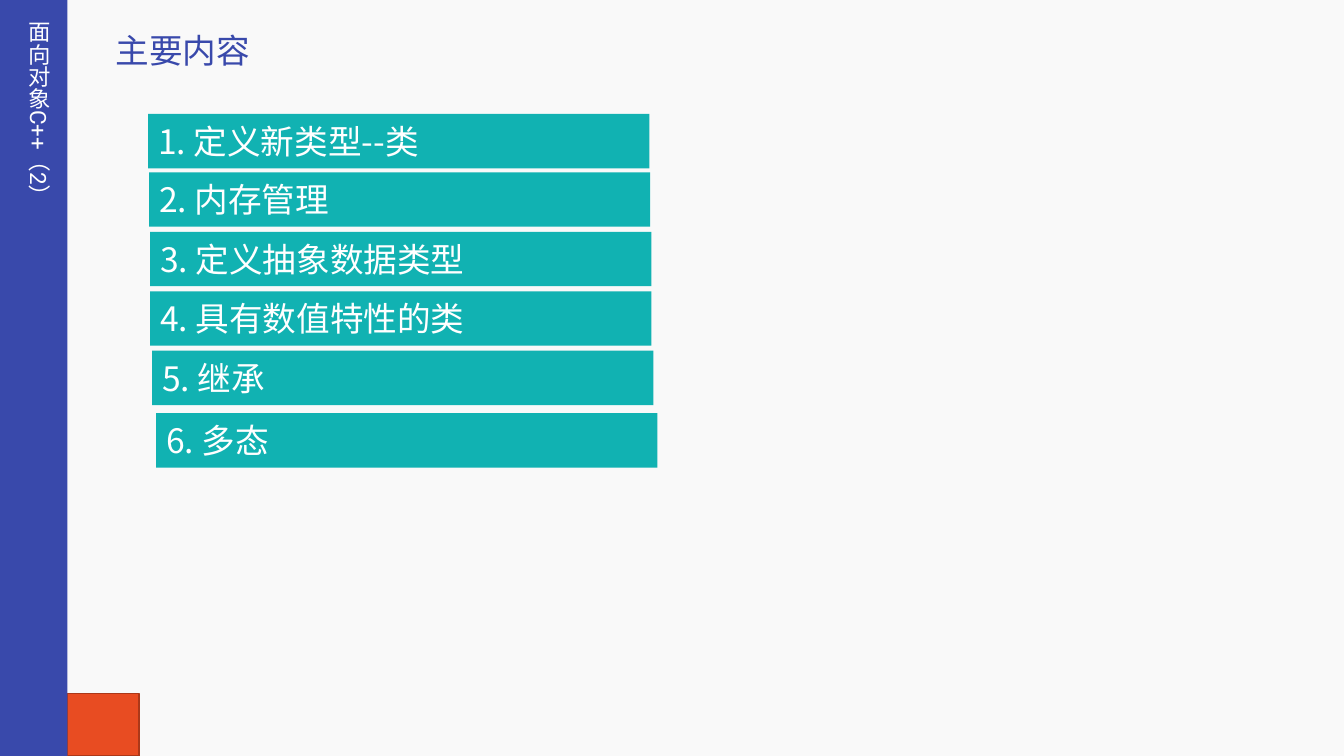
import dataclasses

import lxml.etree
import pptx
import pptx.dml.color
import pptx.enum.shapes
import pptx.enum.text
import pptx.oxml.ns
import pptx.util

Inches = pptx.util.Inches


@dataclasses.dataclass(frozen=True)
class Theme:
    """Colours, fonts and type sizes of the slide."""
    back: str = "F9F9F9"
    blue: str = "3949AB"
    teal: str = "11B2B2"
    red: str = "E84C22"
    rust: str = "AC3819"
    white: str = "FFFFFF"
    latin: str = "Roboto"
    asian: str = "Noto Sans CJK SC"
    large: int = 24
    small: int = 16


def color(code):
    """Turn a hex code into a colour."""
    return pptx.dml.color.RGBColor.from_string(code)


def write(frame, text, *, size, ink, font, asian, wrap=True, anchor="TOP", flow=None):
    """Put formatted text into a text frame."""
    frame.word_wrap = wrap
    frame.vertical_anchor = getattr(pptx.enum.text.MSO_ANCHOR, anchor)
    if not wrap:
        frame.auto_size = pptx.enum.text.MSO_AUTO_SIZE.SHAPE_TO_FIT_TEXT
    if flow:
        frame._txBody.bodyPr.set("vert", flow)
    line = frame.paragraphs[0]
    line.alignment = pptx.enum.text.PP_ALIGN.LEFT
    run = line.add_run()
    run.text = text
    run.font.size = pptx.util.Pt(size)
    run.font.name = font
    run.font.color.rgb = color(ink)
    east = lxml.etree.SubElement(run._r.get_or_add_rPr(), pptx.oxml.ns.qn("a:ea"))
    east.set("typeface", asian)


class Page:
    """Hold the theme and the current slide."""

    def __init__(self, slide, theme):
        """Keep the slide and paint its background."""
        self.slide, self.theme = slide, theme
        fill = slide.background.fill
        fill.solid()
        fill.fore_color.rgb = color(theme.back)

    def block(self, spot, fill, edge=None):
        """Draw a flat rectangle."""
        shape = self.slide.shapes.add_shape(
            pptx.enum.shapes.MSO_SHAPE.RECTANGLE, *map(Inches, spot))
        shape.shadow.inherit = False
        shape.fill.solid()
        shape.fill.fore_color.rgb = color(fill)
        if edge:
            shape.line.color.rgb = color(edge)
            shape.line.width = pptx.util.Pt(1)
        else:
            shape.line.fill.background()
        return shape

    def label(self, spot, text, **style):
        """Add a text box that does not wrap."""
        box = self.slide.shapes.add_textbox(*map(Inches, spot))
        write(box.text_frame, text, font=self.theme.latin,
              asian=self.theme.asian, wrap=False, **style)

    def topic(self, left, top, text):
        """Add one bar of the contents list."""
        theme = self.theme
        bar = self.block((left, top, 4.97, 0.54), theme.teal)
        write(bar.text_frame, text, size=theme.large, ink=theme.white,
              font=theme.asian, asian=theme.asian, anchor="MIDDLE")


def main():
    """Build and save the contents slide."""
    deck = pptx.Presentation()
    deck.slide_width, deck.slide_height = Inches(13.33), Inches(7.5)
    theme = Theme()
    page = Page(deck.slides.add_slide(deck.slide_layouts[6]), theme)
    page.block((0.67, 6.88, 0.71, 0.62), theme.red, theme.rust)
    page.label((1.05, 0.25, 1.64, 0.5), "主要内容", size=theme.large, ink=theme.blue)
    page.block((0, 0, 0.67, 7.5), theme.blue)
    page.label((0.1, 0.11, 0.47, 2), "面向对象C++（2）",
               size=theme.small, ink=theme.white, flow="eaVert")
    topics = [
        (1.47, 1.13, "定义新类型--类"),
        (1.48, 1.71, "内存管理"),
        (1.49, 2.3, "定义抽象数据类型"),
        (1.49, 2.89, "具有数值特性的类"),
        (1.51, 3.48, "继承"),
        (1.55, 4.1, "多态"),
    ]
    for rank, (left, top, name) in enumerate(topics, 1):
        page.topic(left, top, f"{rank}. {name}")
    deck.save("out.pptx")


if __name__ == "__main__":
    main()
